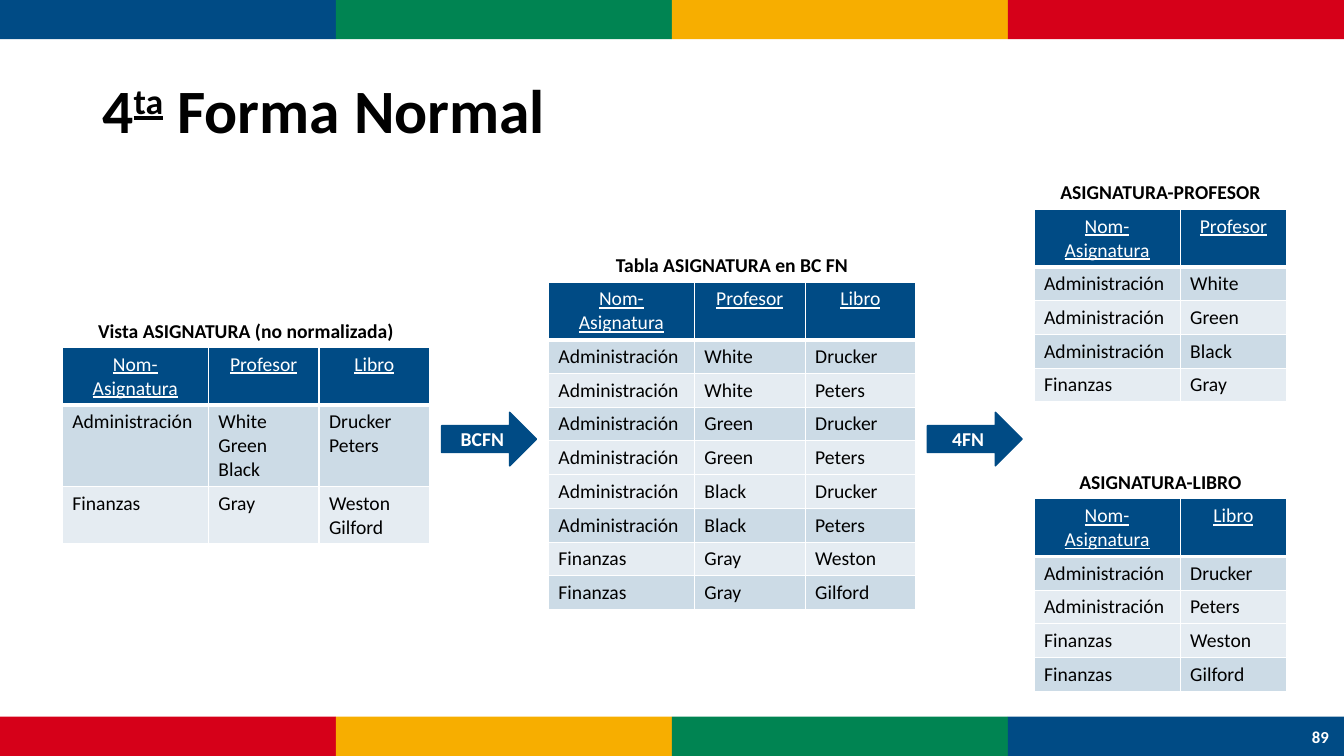
from copy import deepcopy
from dataclasses import dataclass

from lxml import etree
from pptx import Presentation
from pptx.dml.color import RGBColor
from pptx.enum.shapes import MSO_SHAPE
from pptx.enum.text import MSO_ANCHOR, PP_ALIGN
from pptx.oxml.ns import qn
from pptx.util import Cm, Pt

RECT, ARROW = MSO_SHAPE.RECTANGLE, MSO_SHAPE.RIGHT_ARROW
LEFT, CENTER = PP_ALIGN.LEFT, PP_ALIGN.CENTER
TOP, MIDDLE = MSO_ANCHOR.TOP, MSO_ANCHOR.MIDDLE

WIDTH, HEIGHT = 33.87, 19.05
BAND = 0.99
PAD, LINE = 0.25, 0.6
LABEL = 0.86


@dataclass(frozen=True)
class Theme:
    font: str = "Calibri"
    blue: str = "004B85"
    green: str = "008452"
    gold: str = "F7AE00"
    red: str = "D60019"
    white: str = "FFFFFF"
    black: str = "000000"
    title: int = 44
    body: int = 14
    small: int = 12


def assign(target, values):
    for name, value in values.items():
        setattr(target, name, value)


class Board:
    def __init__(self, slide, theme):
        self.slide = slide
        self.theme = theme

    def fill_text(self, frame, parts, size, color, align=CENTER, anchor=TOP):
        assign(frame, {"word_wrap": True, "vertical_anchor": anchor})
        para = frame.paragraphs[0]
        para.alignment = align
        for part in parts:
            para.add_run().text = part
        self.style(para, size, color, {"bold": True})
        return para

    def style(self, para, size, color, style):
        values = {"name": self.theme.font, "size": Pt(size), **style}
        for run in para.runs:
            assign(run.font, values)
            run.font.color.rgb = RGBColor.from_string(color)
        for gap in para._p.findall(qn("a:br")):
            gap.append(deepcopy(para.runs[0]._r.rPr))

    def text(self, box, parts, size, color, **place):
        shape = self.slide.shapes.add_textbox(*map(Cm, box))
        return self.fill_text(shape.text_frame, parts, size, color, **place)

    def shape(self, kind, box, color, line=False):
        shape = self.slide.shapes.add_shape(kind, *map(Cm, box))
        shape.shadow.inherit = False
        shape.fill.solid()
        shape.fill.fore_color.rgb = RGBColor.from_string(color)
        if line:
            shape.line.color.rgb = RGBColor.from_string(color)
            shape.line.width = Pt(1)
        else:
            shape.line.fill.background()
        return shape

    def bands(self, top, colors):
        step = WIDTH / len(colors)
        for i, color in enumerate(colors):
            self.shape(RECT, (i * step, top, step, BAND), color)

    def arrow(self, left, label):
        theme = self.theme
        shape = self.shape(ARROW, (left, 10.39, 2.39, 1.35), theme.blue, True)
        self.fill_text(shape.text_frame, [label], theme.body, theme.white,
                       anchor=MIDDLE)

    def border(self, cell, row):
        props = cell._tc.get_or_add_tcPr()
        heavy = {0: "lnB", 1: "lnT"}.get(row)
        for side in ("lnL", "lnR", "lnT", "lnB"):
            width = Pt(3 if side == heavy else 1)
            line = etree.SubElement(props, qn(f"a:{side}"), w=str(width))
            fill = etree.SubElement(line, qn("a:solidFill"))
            etree.SubElement(fill, qn("a:srgbClr"), val=self.theme.white)

    def paint(self, cell, tint):
        cell.fill.solid()
        cell.fill.fore_color.rgb = RGBColor.from_string(self.theme.blue)
        if tint < 100:
            color = cell._tc.tcPr.find(qn("a:solidFill")).find(qn("a:srgbClr"))
            etree.SubElement(color, qn("a:alpha"), val=str(tint * 1000))

    def table(self, left, top, label, widths, rows, tints):
        theme = self.theme
        lines = [2] + [max(t.count("\n") + 1 for t in row) for row in rows[1:]]
        tall = [PAD + LINE * n for n in lines]
        wide = sum(widths)
        self.text((left, top - LABEL, wide, LABEL), [label], theme.body, theme.black)
        box = map(Cm, (left, top, wide, sum(tall)))
        grid = self.slide.shapes.add_table(len(rows), len(widths), *box).table
        grid.horz_banding = False
        for col, width in zip(grid.columns, widths):
            col.width = Cm(width)
        for r, (row, tint) in enumerate(zip(rows, (100, *tints))):
            grid.rows[r].height = Cm(tall[r])
            head = r == 0
            for c, value in enumerate(row):
                cell = grid.cell(r, c)
                self.border(cell, r)
                self.paint(cell, tint)
                para = cell.text_frame.paragraphs[0]
                para.text = value
                para.alignment = CENTER if head else LEFT
                self.style(para, theme.body, theme.white if head else theme.black,
                           {"bold": False, "underline": head})


def main():
    deck = Presentation()
    assign(deck, {"slide_width": Cm(WIDTH), "slide_height": Cm(HEIGHT)})
    theme = Theme()
    board = Board(deck.slides.add_slide(deck.slide_layouts[6]), theme)

    board.bands(0, (theme.blue, theme.green, theme.gold, theme.red))
    board.bands(HEIGHT - BAND, (theme.red, theme.gold, theme.green, theme.blue))

    title = board.text((2.33, 1.01, 29.21, 3.68), ["4", "ta", " Forma Normal"],
                       theme.title, theme.black, align=LEFT, anchor=MIDDLE)
    title.line_spacing = 0.9
    raised = title.runs[1]
    raised.font.underline = True
    raised._r.rPr.set("baseline", "30000")
    board.text((32.69, 18.06, 1.17, 1.01), ["89"], theme.small, theme.white,
               anchor=MIDDLE)

    subject, staff, book = "Nom-Asignatura", "Profesor", "Libro"
    admin, money = "Administración", "Finanzas"
    three, two = (3.68, 2.79, 2.79), (3.68, 2.69)
    people, books = ("White", "Green", "Black"), ("Drucker", "Peters")
    others = ("Weston", "Gilford")

    board.table(1.57, 8.76, "Vista ASIGNATURA (no normalizada)", three,
                [(subject, staff, book),
                 (admin, "\n".join(people), "\n".join(books)),
                 (money, "Gray", "\n".join(others))], (20, 10))
    board.table(13.82, 7.11, "Tabla ASIGNATURA en BC FN", three,
                [(subject, staff, book),
                 *((admin, who, name) for who in people for name in books),
                 *((money, "Gray", name) for name in others)],
                (20, 10, 20, 10, 10, 20, 10, 20))
    board.table(26.06, 5.28, "ASIGNATURA-PROFESOR", two,
                [(subject, staff), *((admin, who) for who in people),
                 (money, "Gray")], (20, 10, 20, 10))
    board.table(26.06, 12.57, "ASIGNATURA-LIBRO", two,
                [(subject, book), *((admin, name) for name in books),
                 *((money, name) for name in others)], (20, 10, 10, 20))

    board.arrow(11.13, "BCFN")
    board.arrow(23.37, "4FN")
    deck.save("out.pptx")


if __name__ == "__main__":
    main()
